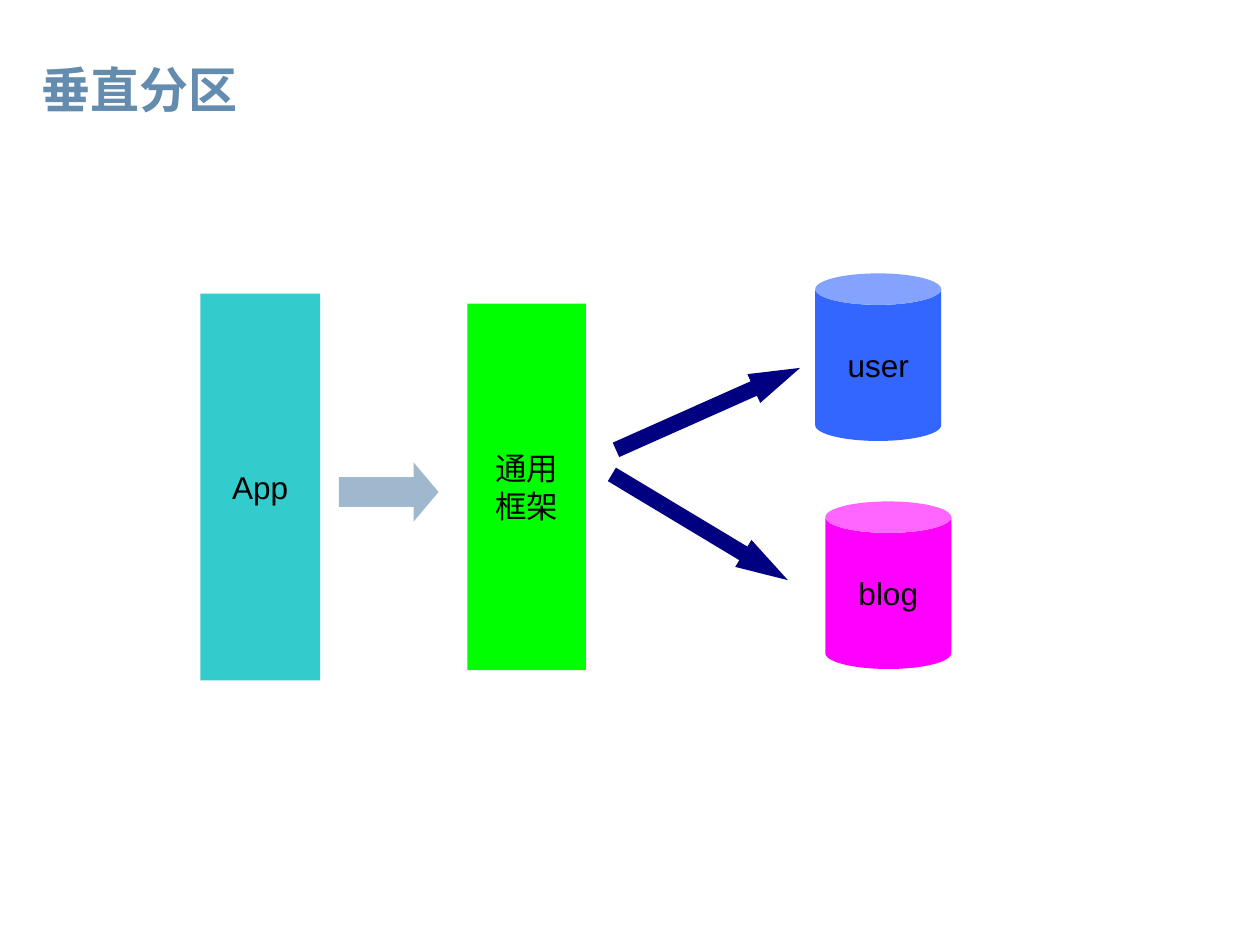
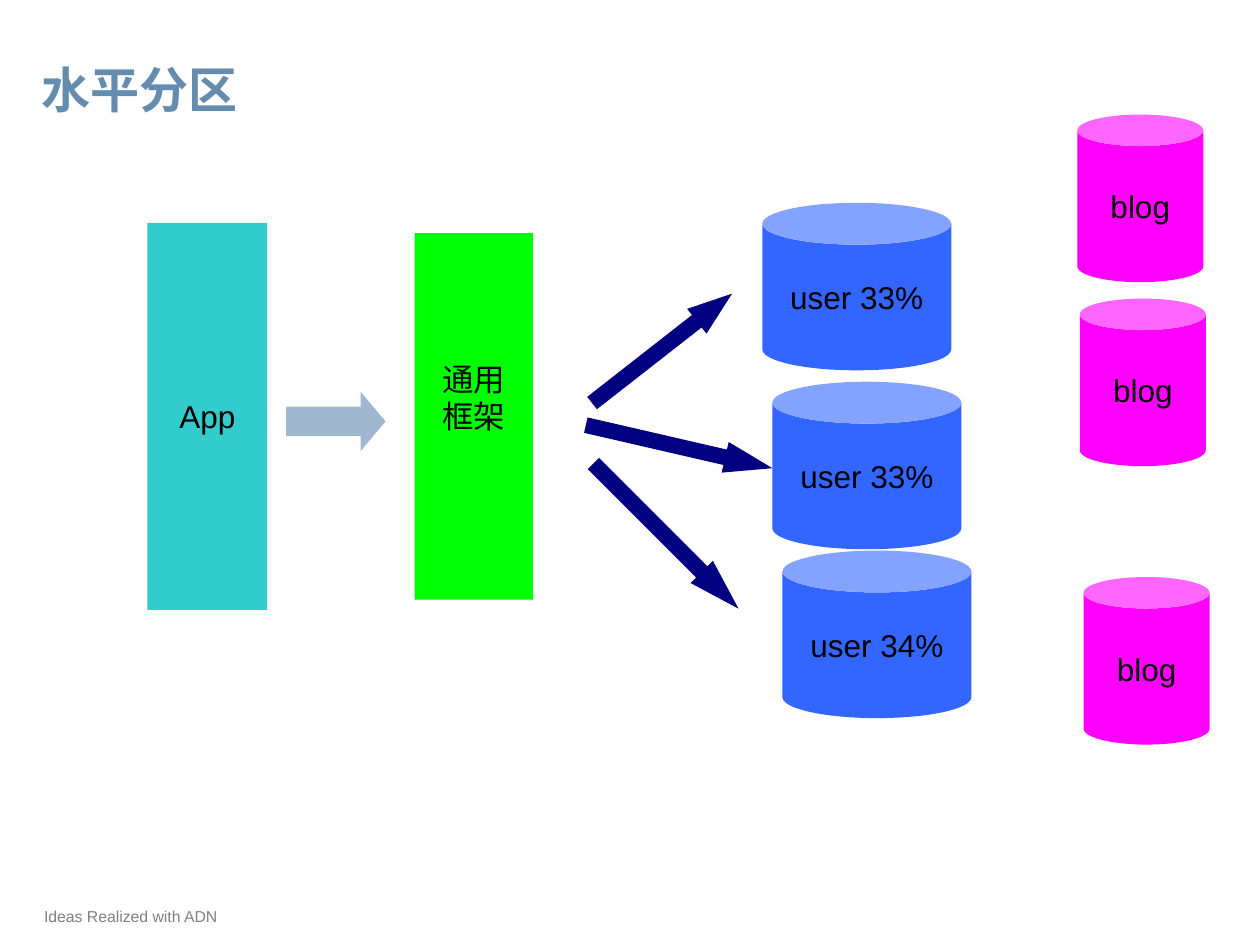
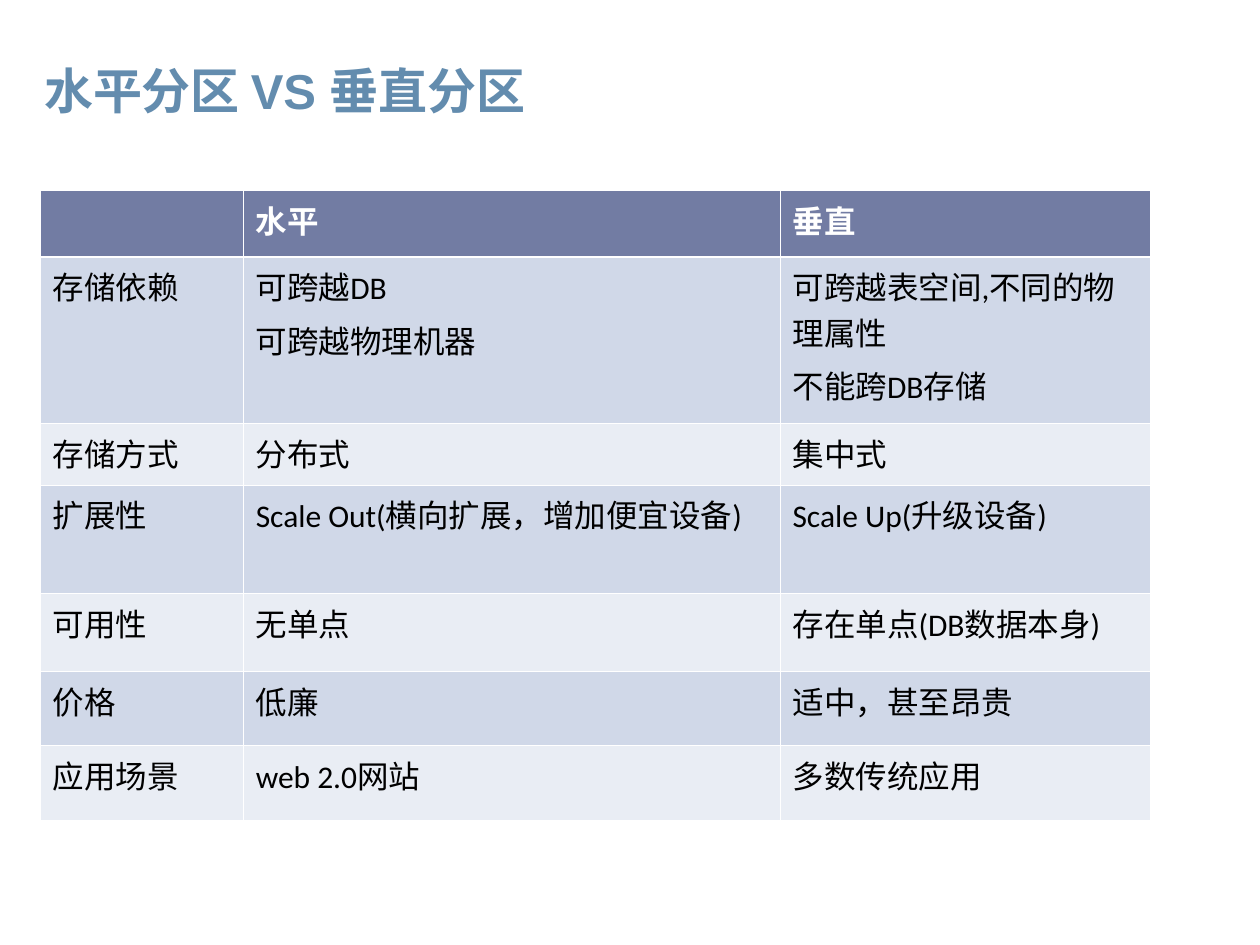
from dataclasses import dataclass

from lxml.etree import SubElement
from pptx import Presentation
from pptx.dml.color import RGBColor
from pptx.enum.shapes import MSO_SHAPE as Preset
from pptx.enum.text import MSO_ANCHOR as Anchor, MSO_AUTO_SIZE as AutoSize, PP_ALIGN as Align
from pptx.oxml.ns import qn
from pptx.util import Inches, Pt

WHITE, BLACK = "FFFFFF", "000000"
TITLE_BLUE, FOOTER_GRAY = "638CAE", "808080"
USER_BLUE, BLOG_PINK = "3366FF", "FF00FF"
APP_TEAL, FRAMEWORK_GREEN = "33CCCC", "00FF00"
FLOW_BLUE, ROUTE_NAVY = "9FB8CD", "000080"
HEADER_FILL, ODD_FILL, EVEN_FILL = "727CA3", "D0D8E8", "E9EDF4"
THIN_BORDER, HEADER_BORDER = 0.45, 1.47
TITLE_ONLY = 5


@dataclass(frozen=True)
class Box:
    left: float
    top: float
    width: float
    height: float

    def lengths(self) -> tuple:
        return tuple(Inches(value) for value in (self.left, self.top, self.width, self.height))


@dataclass(frozen=True)
class Node:
    preset: Preset
    box: Box
    fill: str
    lines: tuple[str, ...]
    bottom_inset: float = 0.05


@dataclass(frozen=True)
class Arrow:
    box: Box
    fill: str
    head: float
    rotation: float = 0


TITLE_BOX = Box(0.23, 0.28, 8.5, 0.85)
COLUMN_WIDTHS = (1.61, 4.26, 2.94)
ROW_HEIGHTS = (0.53, 1.32, 0.49, 0.86, 0.62, 0.59, 0.59)
COMPARISON = (
    ((), ("水平",), ("垂直",)),
    (("存储依赖",), ("可跨越DB", "可跨越物理机器"), ("可跨越表空间,不同的物理属性", "不能跨DB存储")),
    (("存储方式",), ("分布式",), ("集中式",)),
    (("扩展性",), ("Scale Out(横向扩展，增加便宜设备)",), ("Scale Up(升级设备)",)),
    (("可用性",), ("无单点",), ("存在单点(DB数据本身)",)),
    (("价格",), ("低廉",), ("适中，甚至昂贵",)),
    (("应用场景",), ("web 2.0网站",), ("多数传统应用",)),
)


def color(value: str) -> RGBColor:
    return RGBColor.from_string(value)


def write_lines(frame, lines, size, fill, name="Arial", bold=False, align=Align.LEFT, gap=0) -> None:
    for index, line in enumerate(lines):
        paragraph = frame.add_paragraph() if index else frame.paragraphs[0]
        paragraph.alignment = align
        if index and gap:
            paragraph.space_before = Pt(gap)
        run = paragraph.add_run()
        run.text = line
        run.font.size = Pt(size)
        run.font.name = name
        run.font.bold = bold
        run.font.color.rgb = color(fill)


def add_titled_slide(presentation, title: str, box: Box = TITLE_BOX):
    slide = presentation.slides.add_slide(presentation.slide_layouts[TITLE_ONLY])
    shape = slide.shapes.title
    shape.left, shape.top, shape.width, shape.height = box.lengths()
    frame = shape.text_frame
    frame.auto_size = AutoSize.NONE
    frame.word_wrap = True
    frame.vertical_anchor = Anchor.MIDDLE
    write_lines(frame, (title,), 28, TITLE_BLUE, bold=True)
    return slide


def add_filled_shape(slide, preset: Preset, box: Box, fill: str):
    shape = slide.shapes.add_shape(preset, *box.lengths())
    shape.shadow.inherit = False
    shape.fill.solid()
    shape.fill.fore_color.rgb = color(fill)
    shape.line.fill.background()
    return shape


def add_node(slide, node: Node) -> None:
    frame = add_filled_shape(slide, node.preset, node.box, node.fill).text_frame
    frame.word_wrap = False
    frame.vertical_anchor = Anchor.MIDDLE
    frame.margin_bottom = Inches(node.bottom_inset)
    write_lines(frame, node.lines, 18, BLACK, align=Align.CENTER)


def add_arrow(slide, arrow: Arrow) -> None:
    shape = add_filled_shape(slide, Preset.RIGHT_ARROW, arrow.box, arrow.fill)
    shape.adjustments[0] = 0.5
    shape.adjustments[1] = arrow.head
    shape.rotation = arrow.rotation


def add_route(slide, left: float, top: float, width: float, head: float, rotation: float) -> None:
    add_arrow(slide, Arrow(Box(left, top, width, 0.25), ROUTE_NAVY, head, rotation))


def add_database(slide, label: str, fill: str, left: float, top: float, width: float = 1) -> None:
    add_node(slide, Node(Preset.CAN, Box(left, top, width, 1.33), fill, (label,)))


def add_pipeline(slide, left: float, top: float, framework_inset: float = 0.05) -> None:
    add_node(slide, Node(Preset.RECTANGLE, Box(left, top, 0.95, 3.07), APP_TEAL, ("App",)))
    framework = Box(left + 2.12, top + 0.08, 0.94, 2.91)
    add_node(slide, Node(Preset.RECTANGLE, framework, FRAMEWORK_GREEN, ("通用", "框架"), framework_inset))
    add_arrow(slide, Arrow(Box(left + 1.1, top + 1.34, 0.79, 0.47), FLOW_BLUE, 0.42))


def add_footer(slide, text: str) -> None:
    frame = slide.shapes.add_textbox(*Box(0.35, 7.15, 4.5, 0.25).lengths()).text_frame
    frame.word_wrap = True
    frame.vertical_anchor = Anchor.MIDDLE
    frame.margin_left = frame.margin_top = frame.margin_right = frame.margin_bottom = 0
    write_lines(frame, (text,), 9, FOOTER_GRAY)


def set_borders(cell, top: float, bottom: float) -> None:
    properties = cell._tc.get_or_add_tcPr()
    for tag, width in (("a:lnL", THIN_BORDER), ("a:lnR", THIN_BORDER), ("a:lnT", top), ("a:lnB", bottom)):
        line = SubElement(properties, qn(tag), w=str(int(Pt(width))))
        SubElement(SubElement(line, qn("a:solidFill")), qn("a:srgbClr"), val=WHITE)


def add_comparison_table(slide) -> None:
    box = Box(0.32, 1.51, sum(COLUMN_WIDTHS), sum(ROW_HEIGHTS))
    table = slide.shapes.add_table(len(ROW_HEIGHTS), len(COLUMN_WIDTHS), *box.lengths()).table
    table.horz_banding = False
    for column, width in zip(table.columns, COLUMN_WIDTHS):
        column.width = Inches(width)
    for index, (row, height, texts) in enumerate(zip(table.rows, ROW_HEIGHTS, COMPARISON)):
        row.height = Inches(height)
        is_header = index == 0
        fill = HEADER_FILL if is_header else ODD_FILL if index % 2 else EVEN_FILL
        top = HEADER_BORDER if index == 1 else THIN_BORDER
        bottom = HEADER_BORDER if is_header else THIN_BORDER
        for cell, lines in zip(row.cells, texts):
            set_borders(cell, top, bottom)
            cell.fill.solid()
            cell.fill.fore_color.rgb = color(fill)
            write_lines(cell.text_frame, lines, 18, WHITE if is_header else BLACK, "Calibri", is_header, gap=4.5)


def build_vertical_slide(presentation) -> None:
    slide = add_titled_slide(presentation, "垂直分区")
    add_database(slide, "user", USER_BLUE, 6.47, 2.17)
    add_database(slide, "blog", BLOG_PINK, 6.55, 3.98)
    add_pipeline(slide, 1.59, 2.33)
    add_route(slide, 4.82, 3.12, 1.6, 1.61, 336)
    add_route(slide, 4.74, 4.06, 1.63, 1.65, 31)


def build_horizontal_slide(presentation) -> None:
    slide = add_titled_slide(presentation, "水平分区")
    add_footer(slide, "Ideas Realized with ADN")
    for index, (share, top) in enumerate(((33, 1.61), (33, 3.03), (34, 4.37))):
        add_database(slide, f"user {share}%", USER_BLUE, 6.05 + 0.08 * index, top, 1.5)
    for left, top in ((8.55, 0.91), (8.57, 2.37), (8.6, 4.58)):
        add_database(slide, "blog", BLOG_PINK, left, top)
    add_pipeline(slide, 1.17, 1.77, framework_inset=0.35)
    add_route(slide, 4.55, 2.64, 1.41, 1.42, 322)
    add_route(slide, 4.63, 3.42, 1.52, 1.54, 13)
    add_route(slide, 4.47, 4.13, 1.63, 1.65, 45)


def build_comparison_slide(presentation) -> None:
    slide = add_titled_slide(presentation, "水平分区 VS 垂直分区", Box(0.25, 0.27, 8.5, 0.89))
    add_comparison_table(slide)


def main() -> None:
    presentation = Presentation()
    presentation.slide_width = Inches(10)
    presentation.slide_height = Inches(7.5)
    build_vertical_slide(presentation)
    build_horizontal_slide(presentation)
    build_comparison_slide(presentation)
    presentation.save("out.pptx")


if __name__ == "__main__":
    main()
